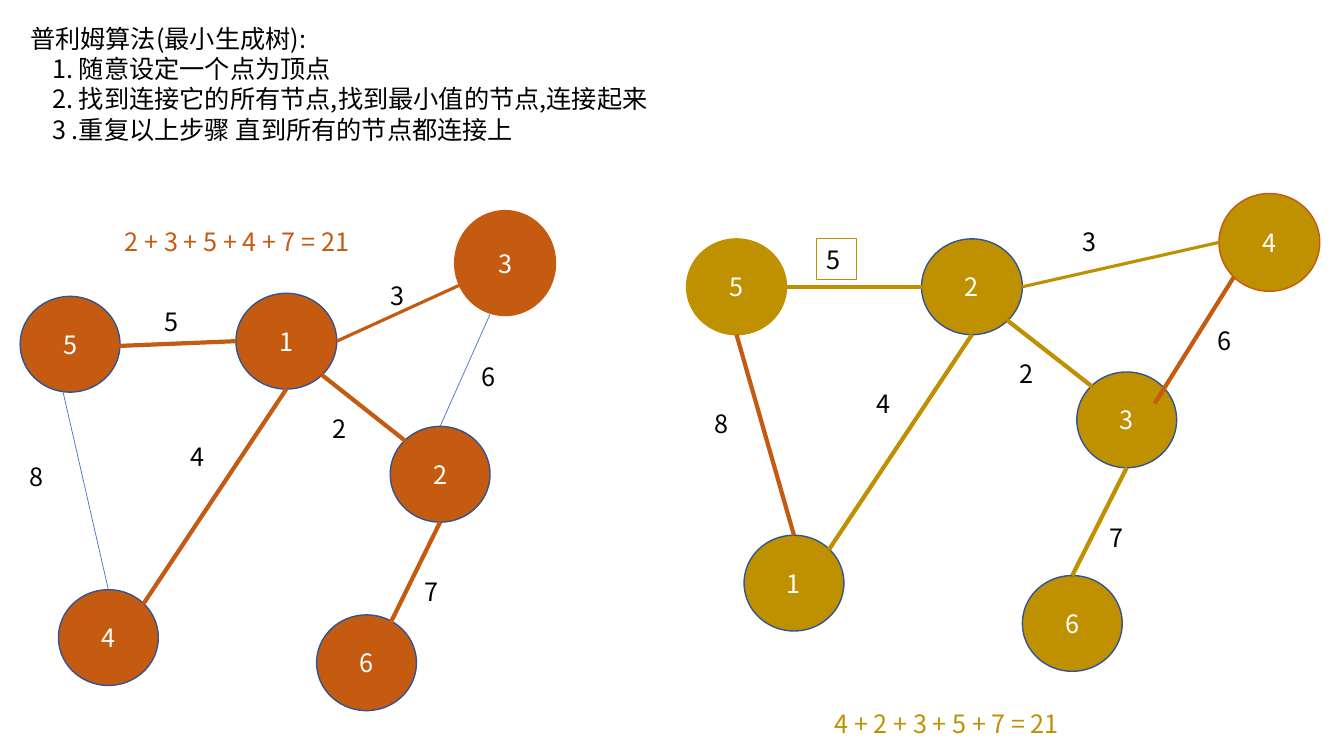
from lxml.etree import SubElement
from pptx import Presentation
from pptx.dml.color import RGBColor
from pptx.enum.shapes import MSO_CONNECTOR as Conn, MSO_SHAPE as Geo
from pptx.enum.text import MSO_ANCHOR as Anchor, PP_ALIGN as Align
from pptx.oxml.ns import qn
from pptx.util import Inches, Pt

RUST = RGBColor(0xC5, 0x5A, 0x11)
GOLD = RGBColor(0xBF, 0x90, 0x00)
NAVY = RGBColor(0x32, 0x54, 0x91)
BLUE = RGBColor(0x44, 0x72, 0xC4)
BLACK = RGBColor(0, 0, 0)
WHITE = RGBColor(255, 255, 255)
FACE = "Noto Sans CJK SC"

# Content: heading and steps
HEAD = "普利姆算法(最小生成树):"
STEPS = ["1. 随意设定一个点为顶点",
         "2. 找到连接它的所有节点,找到最小值的节点,连接起来".replace(",", ","),
         "3 .重复以上步骤 直到所有的节点都连接上"]

# Points on a node, as shares of its width and height
SITES = {"n": (0.5, 0), "e": (1, 0.5), "s": (0.5, 1), "w": (0, 0.5),
         "ne": (0.85, 0.15), "nw": (0.15, 0.15),
         "se": (0.85, 0.85), "sw": (0.15, 0.85)}

# Nodes: name -> left, top, width, height, border
# Edges: node, site, node, site, colour, line width
# Weights: text, left, top, width, border
GRAPHS = [
    {"fill": RUST,
     "nodes": {"5": (0.2, 2.94, 0.99, 0.95, NAVY),
               "1": (2.34, 2.91, 1, 0.95, NAVY),
               "3": (4.51, 2.09, 1, 1.04, RUST),
               "4": (0.58, 5.85, 0.99, 0.95, NAVY),
               "6": (3.14, 6.1, 0.99, 0.95, NAVY),
               "2": (3.87, 4.23, 0.99, 0.95, NAVY)},
     "edges": [("5", (0.43, 1), "4", "n", BLUE, 0.5),
               ("5", (0.94, 0.52), "1", "w", RUST, 3),
               ("1", "se", "2", "nw", RUST, 3),
               ("2", "s", "6", (0.71, 0.15), RUST, 3),
               ("1", "s", "4", "ne", RUST, 3),
               ("1", "e", "3", (0.21, 0.64), RUST, 2.25),
               ("3", (0.35, 0.99), "2", "n", BLUE, 0.5)],
     "weights": [("8", 0.19, 4.53, 0.39, None), ("5", 1.53, 2.99, 0.4, None),
                 ("4", 1.79, 4.33, 0.28, None), ("3", 3.77, 2.73, 0.45, None),
                 ("2", 3.2, 4.05, 0.36, None), ("6", 4.68, 3.54, 0.47, None),
                 ("7", 4.11, 5.67, 0.41, None)],
     "total": ("2 + 3 + 5 + 4 + 7 = 21", 1.14, 2.2, 2.72)},
    {"fill": GOLD,
     "nodes": {"5": (6.81, 2.37, 0.99, 0.95, GOLD),
               "2": (9.14, 2.37, 1, 0.95, NAVY),
               "4": (12.09, 1.92, 1, 0.97, RUST),
               "1": (7.38, 5.31, 0.99, 0.95, NAVY),
               "6": (10.14, 5.71, 0.99, 0.95, NAVY),
               "3": (10.68, 3.69, 0.99, 0.95, NAVY)},
     "edges": [("5", "s", "1", "n", RUST, 3),
               ("5", "e", "2", "w", GOLD, 3),
               ("2", "se", "3", "nw", GOLD, 3),
               ("3", "s", "6", "n", GOLD, 3),
               ("2", "s", "1", "ne", GOLD, 3),
               ("2", "e", "4", "w", GOLD, 2.25),
               ("4", "sw", "3", (0.78, 0.33), RUST, 3)],
     "weights": [("8", 6.99, 4, 0.39, None), ("5", 8.1, 2.37, 0.4, GOLD),
                 ("4", 8.59, 3.8, 0.28, None), ("3", 10.64, 2.2, 0.45, None),
                 ("2", 10.01, 3.51, 0.36, None), ("6", 11.98, 3.18, 0.47, None),
                 ("7", 10.91, 5.13, 0.41, None)],
     "total": ("4 + 2 + 3 + 5 + 7 = 21", 8.18, 6.98, 2.65)},
]

deck = Presentation()
deck.slide_width, deck.slide_height = Inches(13.33), Inches(7.5)
slide = deck.slides.add_slide(deck.slide_layouts[6])
shapes = slide.shapes


def write(para, text, color, align=Align.LEFT):
    para.alignment = align
    para.line_spacing = Pt(21.6)
    run = para.add_run()
    run.text = text
    for key, val in {"size": Pt(18), "name": FACE}.items():
        setattr(run.font, key, val)
    run.font.color.rgb = color
    SubElement(run.font._element, qn("a:ea"), typeface=FACE)


def label(text, left, top, wide, color=BLACK, edge=None, high=0.4):
    area = [Inches(v) for v in (left, top, wide, high)]
    if edge is None:
        box = shapes.add_textbox(*area)
    else:
        box = shapes.add_shape(Geo.RECTANGLE, *area)
        box.shadow.inherit = False
        box.fill.background()
        box.line.color.rgb, box.line.width = edge, Pt(0.75)
    frame = box.text_frame
    frame.word_wrap, frame.vertical_anchor = True, Anchor.TOP
    write(frame.paragraphs[0], text, color)
    return frame


def node(name, fill, left, top, wide, high, edge):
    disc = shapes.add_shape(Geo.FLOWCHART_CONNECTOR,
                            *[Inches(v) for v in (left, top, wide, high)])
    disc.shadow.inherit = False
    disc.fill.solid()
    disc.fill.fore_color.rgb = fill
    disc.line.color.rgb, disc.line.width = edge, Pt(1)
    disc.text_frame.vertical_anchor = Anchor.MIDDLE
    write(disc.text_frame.paragraphs[0], name, WHITE, Align.CENTER)


def spot(place, site):
    left, top, wide, high, _ = place
    across, down = SITES[site] if isinstance(site, str) else site
    return Inches(left + wide * across), Inches(top + high * down)


def link(start, end, color, width):
    line = shapes.add_connector(Conn.STRAIGHT, *start, *end)
    line.line.color.rgb, line.line.width = color, Pt(width)
    SubElement(line._element.spPr, qn("a:effectLst"))


# Both graphs: nodes, edges, weights, total
for graph in GRAPHS:
    nodes = graph["nodes"]
    for name, place in nodes.items():
        node(name, graph["fill"], *place)
    for one, out, two, into, color, width in graph["edges"]:
        link(spot(nodes[one], out), spot(nodes[two], into), color, width)
    for text, left, top, wide, edge in graph["weights"]:
        label(text, left, top, wide, edge=edge)
    label(*graph["total"], color=graph["fill"])

# Heading with indented steps
frame = label(HEAD, 0.2, 0.18, 6.79, high=1.31)
for step in STEPS:
    para = frame.add_paragraph()
    write(para, step, BLACK)
    para._p.get_or_add_pPr().set("marL", str(Inches(0.22)))

deck.save("out.pptx")
